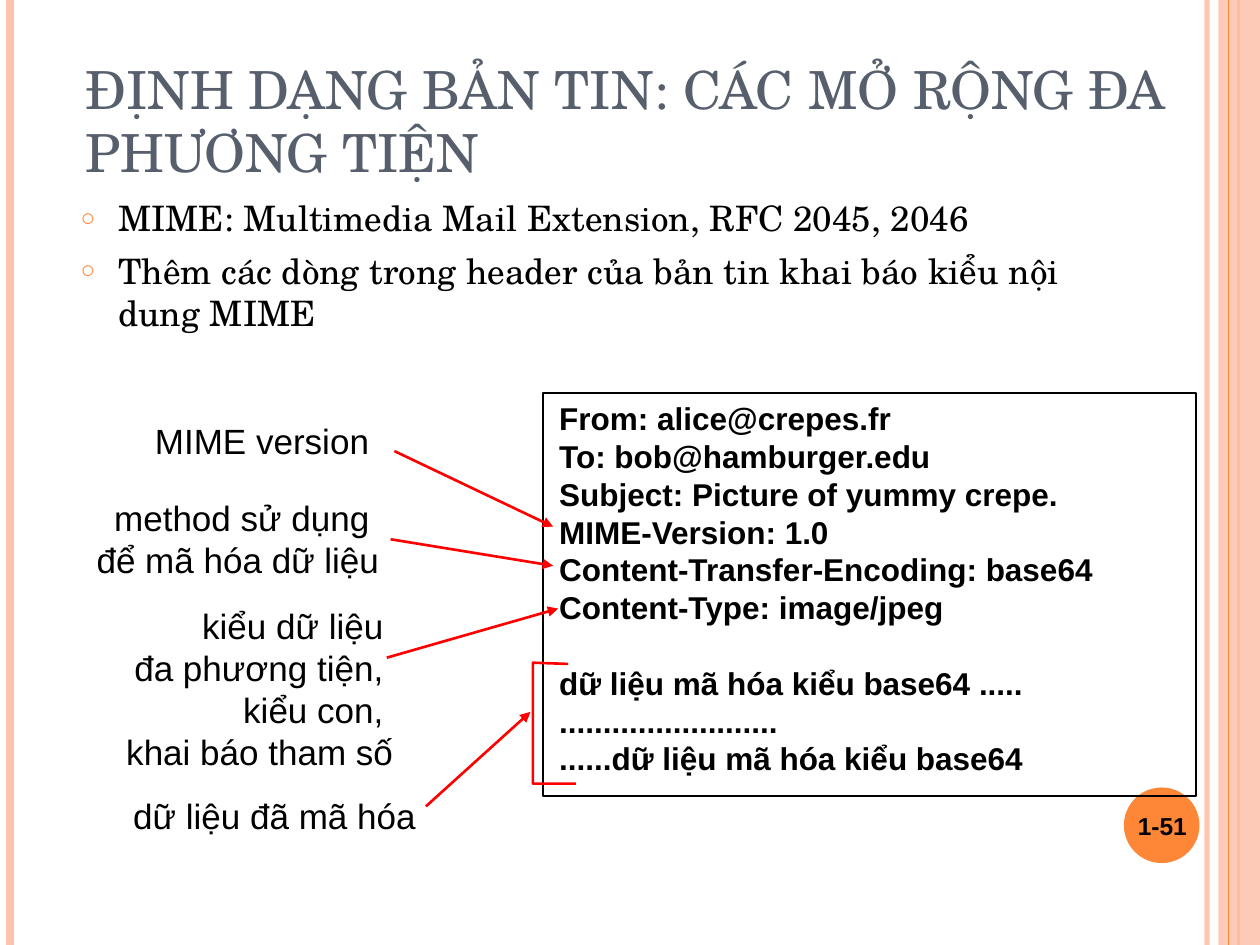
from dataclasses import dataclass

from lxml import etree
from pptx import Presentation, util as u
from pptx.dml.color import RGBColor
from pptx.enum import shapes, text
from pptx.oxml.ns import qn

COLUMNS, ROWS = 100, 75
CELL = u.Inches(0.1)
SERIF, SANS = "TeX Gyre Schola", "Arial"
ORANGE, PEACH, SLATE = "FE8637", "FEC3AE", "575F6D"
BLACK, RED = "000000", "FF0000"
LEFT, CENTER, RIGHT = text.PP_ALIGN.LEFT, text.PP_ALIGN.CENTER, text.PP_ALIGN.RIGHT
LINE_HEIGHT = 1.2


@dataclass
class Area:
    column: float
    row: float
    columns: float
    rows: float

    def emu(self) -> list[int]:
        return [cells(v) for v in (self.column, self.row, self.columns, self.rows)]


@dataclass
class Stripe:
    column: float
    color: str
    width: float
    opacity: int = 100


@dataclass
class Callout:
    area: Area
    lines: list[str]
    align: text.PP_ALIGN
    arrow: tuple[float, float, float, float]


STRIPES = [
    Stripe(95.8, PEACH, 3, 93),
    Stripe(0.8, PEACH, 4.5),
    Stripe(98.3, ORANGE, 1.5),
]
INNER_STRIPE = Stripe(97.5, ORANGE, 0.75)

TITLE = "ĐỊNH DẠNG BẢN TIN: CÁC MỞ RỘNG ĐA PHƯƠNG TIỆN"
POINTS = [
    "MIME: Multimedia Mail Extension, RFC 2045, 2046",
    "Thêm các dòng trong header của bản tin khai báo kiểu nội dung MIME",
]
MAIL_HEADER = [
    "From: alice@crepes.fr",
    "To: bob@hamburger.edu",
    "Subject: Picture of yummy crepe.",
    "MIME-Version: 1.0",
    "Content-Transfer-Encoding: base64",
    "Content-Type: image/jpeg",
]
MAIL_BODY = [
    "dữ liệu mã hóa kiểu base64 .....",
    ".........................",
    "......dữ liệu mã hóa kiểu base64",
]
CALLOUTS = [
    Callout(Area(9, 47.5, 23.2, 14.4),
            ["kiểu dữ liệu ", "đa phương tiện, ", "kiểu con, ", "khai báo tham số"],
            RIGHT, (30.7, 52.2, 44.3, 48.3)),
    Callout(Area(6.5, 38.9, 24.6, 7.7), ["method sử dụng ", "để mã hóa dữ liệu"],
            RIGHT, (31, 42.8, 43.9, 44.9)),
    Callout(Area(11.3, 32.8, 19, 4.4), ["MIME version"],
            CENTER, (31.3, 35.8, 43.9, 41.8)),
    Callout(Area(9.5, 62.6, 24.6, 4.4), ["dữ liệu đã mã hóa"],
            CENTER, (33.8, 64, 42.1, 56.5)),
]
BRACKET = [(45.1, 52.7), (42.3, 52.6), (42.3, 62.2), (45.7, 62.2)]


def cells(count: float) -> int:
    return round(count * CELL)


def paint(target, color: str, opacity: int = 100) -> None:
    target.solid()
    target.fore_color.rgb = RGBColor.from_string(color)
    if opacity < 100:
        tint = target._xPr.find(qn("a:solidFill"))[0]
        etree.SubElement(tint, qn("a:alpha"), val=str(opacity * 1000))


def add_line(slide, ends, color: str, width: float, opacity: int = 100, arrow: bool = False):
    line = slide.shapes.add_connector(
        shapes.MSO_CONNECTOR.STRAIGHT, *[cells(v) for v in ends])
    paint(line.line.fill, color, opacity)
    line.line.width = u.Pt(width)
    if arrow:
        etree.SubElement(line.line._get_or_add_ln(), qn("a:tailEnd"), type="triangle")
    etree.SubElement(line._element.spPr, qn("a:effectLst"))


def add_stripe(slide, stripe: Stripe) -> None:
    add_line(slide, (stripe.column, 0, stripe.column, ROWS),
             stripe.color, stripe.width, stripe.opacity)


def add_block(slide, kind, area: Area, color: str, opacity: int = 100) -> None:
    block = slide.shapes.add_shape(kind, *area.emu())
    block.shadow.inherit = False
    paint(block.fill, color, opacity)
    block.line.fill.background()


def outline(shape, color: str, width: float) -> None:
    shape.shadow.inherit = False
    shape.fill.background()
    paint(shape.line.fill, color)
    shape.line.width = u.Pt(width)


def add_run(paragraph, words: str, font: str, size: float, color: str, bold: bool = False) -> None:
    run = paragraph.add_run()
    run.text = words
    run.font.name = font
    run.font.size = u.Pt(size)
    run.font.bold = bold
    paint(run.font.fill, color)


def next_paragraph(frame, index: int):
    return frame.add_paragraph() if index else frame.paragraphs[0]


def add_text(slide, area: Area, lines: list[str], size: float, align=LEFT, bold: bool = False,
             wrap: bool = False, anchor=text.MSO_ANCHOR.TOP):
    frame = slide.shapes.add_textbox(*area.emu()).text_frame
    frame.word_wrap = wrap
    if not wrap:
        frame.auto_size = text.MSO_AUTO_SIZE.SHAPE_TO_FIT_TEXT
    frame.vertical_anchor = anchor
    for index, words in enumerate(lines):
        paragraph = next_paragraph(frame, index)
        paragraph.alignment = align
        paragraph.line_spacing = u.Pt(size * LINE_HEIGHT)
        add_run(paragraph, words, SANS, size, BLACK, bold)
    return frame


def place(placeholder, area: Area, anchor):
    placeholder.left, placeholder.top, placeholder.width, placeholder.height = area.emu()
    frame = placeholder.text_frame
    frame.word_wrap = True
    frame.auto_size = text.MSO_AUTO_SIZE.NONE
    frame.vertical_anchor = anchor
    return frame


def add_bullet(paragraph) -> None:
    props = paragraph._p.get_or_add_pPr()
    props.set("marL", str(cells(3)))
    props.set("indent", str(cells(-3)))
    tint = etree.SubElement(props, qn("a:buClr"))
    etree.SubElement(tint, qn("a:srgbClr"), val=ORANGE)
    etree.SubElement(props, qn("a:buSzPct"), val="70000")
    etree.SubElement(props, qn("a:buChar"), char="○")


def add_decoration(slide) -> None:
    for stripe in STRIPES:
        add_stripe(slide, stripe)
    add_block(slide, shapes.MSO_SHAPE.RECTANGLE, Area(96.7, 0, 3.3, ROWS), PEACH, 87)
    add_stripe(slide, INNER_STRIPE)
    add_block(slide, shapes.MSO_SHAPE.OVAL, Area(89.2, 62.5, 6, 6), ORANGE)


def add_heading_and_points(slide) -> None:
    heading = place(slide.shapes.title, Area(5.8, 2.5, 91.7, 12.5), text.MSO_ANCHOR.BOTTOM)
    heading.paragraphs[0].alignment = LEFT
    add_run(heading.paragraphs[0], TITLE, SERIF, 30, SLATE)
    points = place(slide.placeholders[1], Area(5.4, 15.1, 80.1, 50.8), text.MSO_ANCHOR.TOP)
    for index, words in enumerate(POINTS):
        point = next_paragraph(points, index)
        add_bullet(point)
        point.space_before = u.Pt(6 if index else 0)
        add_run(point, words, SERIF, 20, BLACK)


def add_mail(slide) -> None:
    mail = add_text(slide, Area(43.4, 31.2, 54.4, 34), MAIL_HEADER + MAIL_BODY,
                    18, bold=True, wrap=True)
    mail.paragraphs[len(MAIL_HEADER)].space_before = u.Pt(18 * LINE_HEIGHT)
    border = slide.shapes.add_shape(
        shapes.MSO_SHAPE.RECTANGLE, *Area(43.1, 31.2, 51.8, 32).emu())
    outline(border, BLACK, 1)


def add_callouts(slide) -> None:
    for callout in CALLOUTS:
        add_text(slide, callout.area, callout.lines, 20, callout.align)
    for callout in CALLOUTS:
        add_line(slide, callout.arrow, RED, 1.5, arrow=True)
    start, *corners = [(cells(column), cells(row)) for column, row in BRACKET]
    builder = slide.shapes.build_freeform(*start)
    builder.add_line_segments(corners, close=False)
    outline(builder.convert_to_shape(), RED, 1.5)


def main() -> None:
    deck = Presentation()
    deck.slide_width, deck.slide_height = COLUMNS * CELL, ROWS * CELL
    slide = deck.slides.add_slide(deck.slide_layouts[1])
    add_decoration(slide)
    add_heading_and_points(slide)
    add_text(slide, Area(88.9, 62.7, 6.7, 5.7), ["1-51"], 14, CENTER, True, True,
             text.MSO_ANCHOR.MIDDLE)
    add_mail(slide)
    add_callouts(slide)
    deck.save("out.pptx")


if __name__ == "__main__":
    main()
